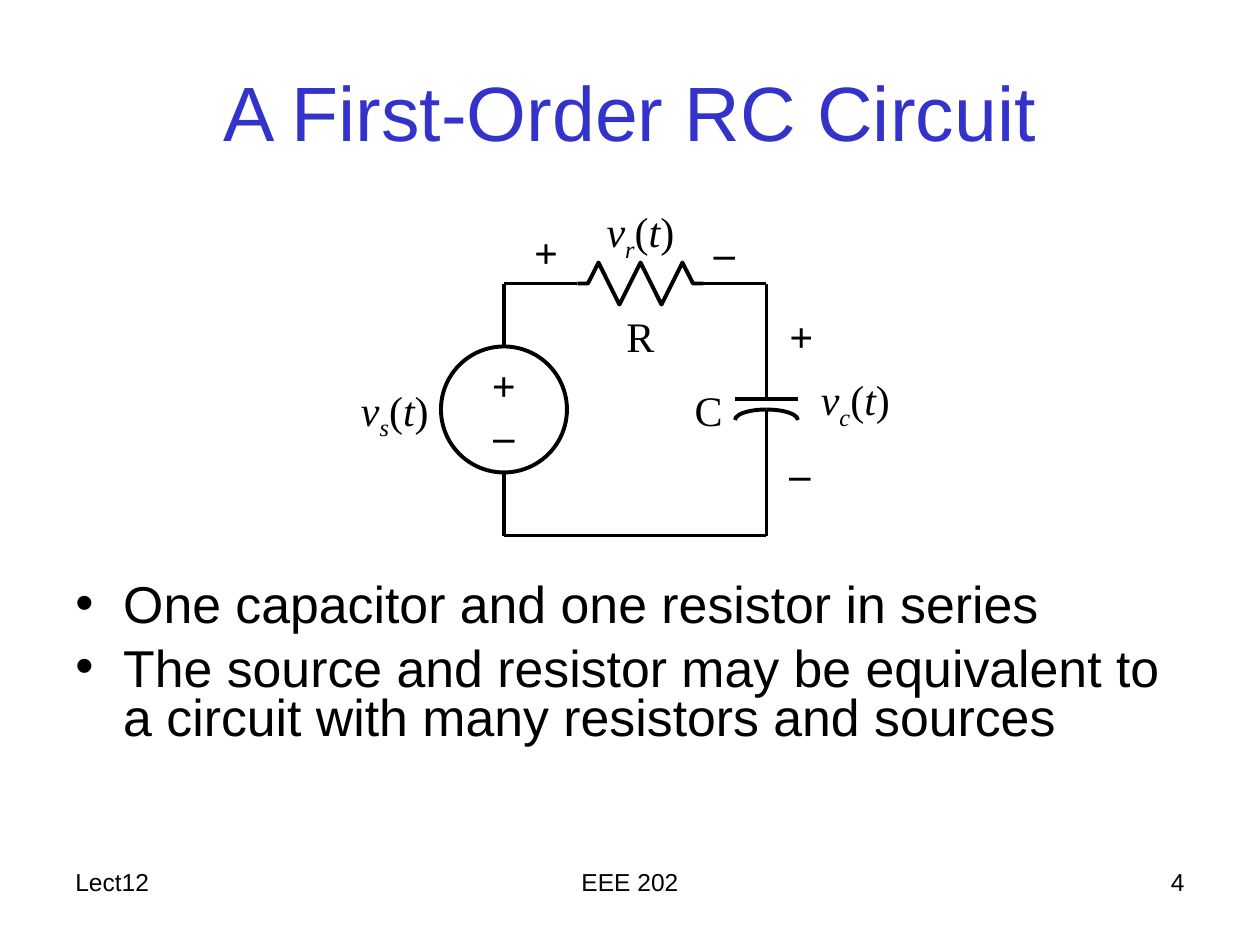
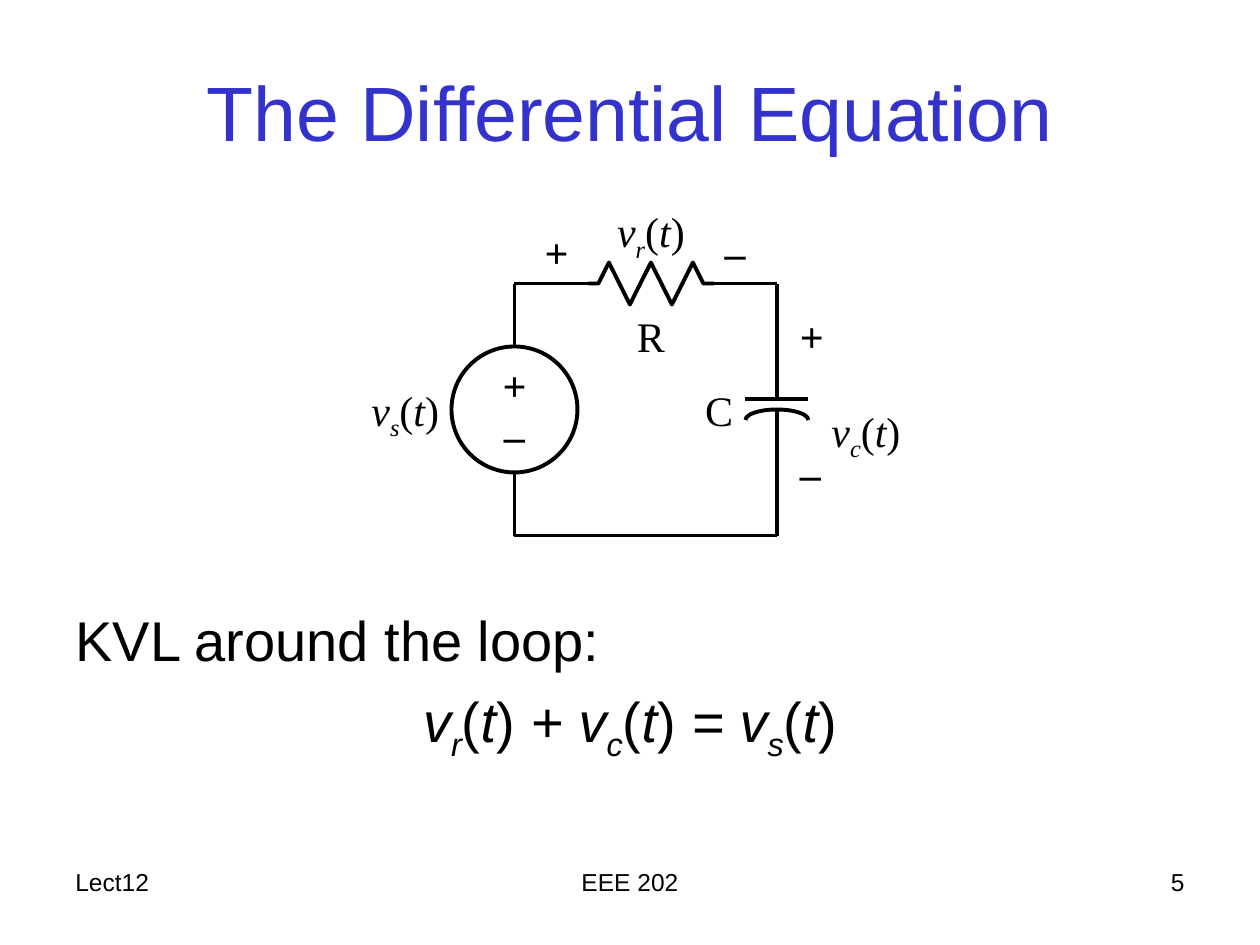
import lxml.etree
import pptx
import pptx.dml.color
import pptx.enum.shapes
import pptx.enum.text
import pptx.oxml.ns
import pptx.util

BLACK = pptx.dml.color.RGBColor(0x00, 0x00, 0x00)
TITLE_BLUE = pptx.dml.color.RGBColor(0x33, 0x33, 0xCC)
COLUMNS, ROWS = 120, 90
CELL = pptx.util.Inches(10) // COLUMNS
WIRE_WIDTH = pptx.util.Pt(2.25)
HANGING_INDENT = pptx.util.Inches(0.38)

ALIGN = pptx.enum.text.PP_ALIGN
ANCHOR = pptx.enum.text.MSO_ANCHOR
SHAPE = pptx.enum.shapes.MSO_SHAPE
qn = pptx.oxml.ns.qn

TITLE_FONT = {"name": "Arial", "size": pptx.util.Pt(44)}
FOOTER_FONT = {"name": "Arial", "size": pptx.util.Pt(14)}
BULLET_FONT = {"name": "Arial", "size": pptx.util.Pt(29.6)}
EQUATION_FONT = {"name": "Arial", "size": pptx.util.Pt(32)}
LABEL_FONT = {"name": "Times New Roman", "size": pptx.util.Pt(24)}
SIGN_FONT = {**LABEL_FONT, "bold": True}
ITALIC = {"italic": True}
LABEL_SPACING = {"space_before": pptx.util.Pt(15)}
BODY_SPACING = {"space_before": pptx.util.Pt(8)}
BULLET_SPACING = {**BODY_SPACING, "line_spacing": 0.8}


def cells(*counts):
    """Convert grid counts to lengths."""
    return [round(count * CELL) for count in counts]


def set_all(target, values):
    """Set each named attribute on the target."""
    for name, value in values.items():
        setattr(target, name, value)


def plain(text):
    """Return the runs of unstyled text."""
    return [(text, {}, False)]


def signal(subscript, lead="v"):
    """Return the runs of a time signal such as v_r(t)."""
    return [(lead, ITALIC, False), (subscript, ITALIC, True),
            ("(", {}, False), ("t", ITALIC, False), (")", {}, False)]


def write(frame, paragraphs, font, color=BLACK, spacing=None):
    """Fill a text frame with (alignment, runs) paragraphs."""
    for index, (alignment, runs) in enumerate(paragraphs):
        paragraph = frame.add_paragraph() if index else frame.paragraphs[0]
        set_all(paragraph, {"alignment": alignment, **(spacing or {})})
        for text, style, lowered in runs:
            run = paragraph.add_run()
            run.text = text
            set_all(run.font, {**font, **style})
            run.font.color.rgb = color
            if lowered:
                run.font._element.set("baseline", "-25000")


def add_text(slide, box, paragraphs, font, color=BLACK, spacing=None, anchor=ANCHOR.TOP):
    """Add a wrapped text box on the grid and return its frame."""
    frame = slide.shapes.add_textbox(*cells(*box)).text_frame
    set_all(frame, {"word_wrap": True, "vertical_anchor": anchor})
    write(frame, paragraphs, font, color, spacing)
    return frame


def hang(frame, bullet=None):
    """Give paragraphs a hanging indent and an optional bullet."""
    for paragraph in frame.paragraphs:
        properties = paragraph._p.get_or_add_pPr()
        properties.set("marL", str(HANGING_INDENT))
        properties.set("indent", str(-HANGING_INDENT))
        if bullet:
            lxml.etree.SubElement(properties, qn("a:buFont"), typeface="Arial")
            lxml.etree.SubElement(properties, qn("a:buChar"), char=bullet)


def outline(shape):
    """Leave a shape with only a black wire outline."""
    shape.shadow.inherit = False
    shape.fill.background()
    shape.line.color.rgb = BLACK
    shape.line.width = WIRE_WIDTH
    return shape


def add_wire(slide, *ends):
    """Draw a straight wire between two grid points."""
    wire = slide.shapes.add_connector(
        pptx.enum.shapes.MSO_CONNECTOR.STRAIGHT, *cells(*ends))
    wire.line.color.rgb = BLACK
    wire.line.width = WIRE_WIDTH
    lxml.etree.SubElement(wire._element.spPr, qn("a:effectLst"))


def add_source(slide, left):
    """Draw the voltage source with its polarity signs."""
    source = outline(slide.shapes.add_shape(SHAPE.OVAL, *cells(left - 6, 33, 12, 12)))
    frame = source.text_frame
    set_all(frame, {"word_wrap": False, "vertical_anchor": ANCHOR.MIDDLE})
    write(frame, [(ALIGN.CENTER, plain(sign)) for sign in "+–"], SIGN_FONT)


def add_resistor(slide, left):
    """Draw the resistor zigzag along the top wire."""
    peaks = [(left + 9 + 2 * i, 29 if i % 2 else 25) for i in range(5)]
    points = [(left + 8, 27), *peaks, (left + 18, 27), (left + 19, 27)]
    builder = slide.shapes.build_freeform(left + 7, 27, scale=CELL)
    builder.add_line_segments(points, close=False)
    outline(builder.convert_to_shape())


def add_capacitor(slide, right):
    """Draw the flat plate and the two halves of the curved plate."""
    add_wire(slide, right - 3, 38, right + 3, 38)
    for start, end in ((162, 0), (108, 162)):
        plate = outline(slide.shapes.add_shape(SHAPE.ARC, *cells(right - 3, 39, 6, 2)))
        plate.adjustments[0], plate.adjustments[1] = start, end


def add_circuit(slide, left, capacitor_label_top):
    """Draw the RC loop whose left wire stands at the given column."""
    right = left + 25
    wires = [(left, 33, left, 27), (left, 27, left + 7, 27),
             (left + 19, 27, right, 27), (right, 27, right, 38),
             (right, 39, right, 51), (left, 51, right, 51), (left, 51, left, 45)]
    for wire in wires:
        add_wire(slide, *wire)
    add_source(slide, left)
    add_resistor(slide, left)
    add_capacitor(slide, right)

    labels = [(7, 29, 12, ALIGN.CENTER, plain("R")),
              (8, 36, 14, ALIGN.RIGHT, plain("C")),
              (-20, 36, 14, ALIGN.RIGHT, signal("s")),
              (7, 19, 12, ALIGN.CENTER, signal("r")),
              (29, capacitor_label_top, 12, ALIGN.LEFT, signal("c"))]
    signs = [(0, 21, 8, ALIGN.CENTER, plain("+")),
             (17, 21, 8, ALIGN.CENTER, plain("–")),
             (26, 29, 8, ALIGN.LEFT, plain("+")),
             (26, 42, 8, ALIGN.LEFT, plain("–"))]
    for font, marks in ((LABEL_FONT, labels), (SIGN_FONT, signs)):
        for offset, top, width, alignment, runs in marks:
            add_text(slide, (left + offset, top, width, 6), [(alignment, runs)],
                     font, spacing=LABEL_SPACING)


def add_lecture_slide(deck, title, number):
    """Add a blank slide with the shared title and footer."""
    slide = deck.slides.add_slide(deck.slide_layouts[6])
    add_text(slide, (6, 3, 108, 15), [(ALIGN.CENTER, plain(title))],
             TITLE_FONT, TITLE_BLUE, anchor=ANCHOR.MIDDLE)
    footers = [(6, 25, ALIGN.LEFT, "Lect12"), (41, 38, ALIGN.CENTER, "EEE 202"),
               (89, 25, ALIGN.RIGHT, str(number))]
    for column, width, alignment, text in footers:
        add_text(slide, (column, 82, width, 6), [(alignment, plain(text))], FOOTER_FONT)
    return slide


def main():
    """Build the two circuit slides."""
    deck = pptx.Presentation()
    deck.slide_width, deck.slide_height = cells(COLUMNS, ROWS)

    circuit = add_lecture_slide(deck, "A First-Order RC Circuit", 4)
    add_circuit(circuit, 48, 35)
    remarks = ["One capacitor and one resistor in series",
               "The source and resistor may be equivalent to a circuit "
               "with many resistors and sources"]
    hang(add_text(circuit, (6, 55, 108, 22),
                  [(ALIGN.LEFT, plain(remark)) for remark in remarks],
                  BULLET_FONT, spacing=BULLET_SPACING), "•")

    equation = add_lecture_slide(deck, "The Differential Equation", 5)
    add_circuit(equation, 49, 38)
    loop_law = signal("r") + signal("c", " + v") + signal("s", " = v")
    hang(add_text(equation, (6, 57.1, 108, 20),
                  [(ALIGN.LEFT, plain("KVL around the loop:")), (ALIGN.CENTER, loop_law)],
                  EQUATION_FONT, spacing=BODY_SPACING))

    deck.save("out.pptx")


if __name__ == "__main__":
    main()
